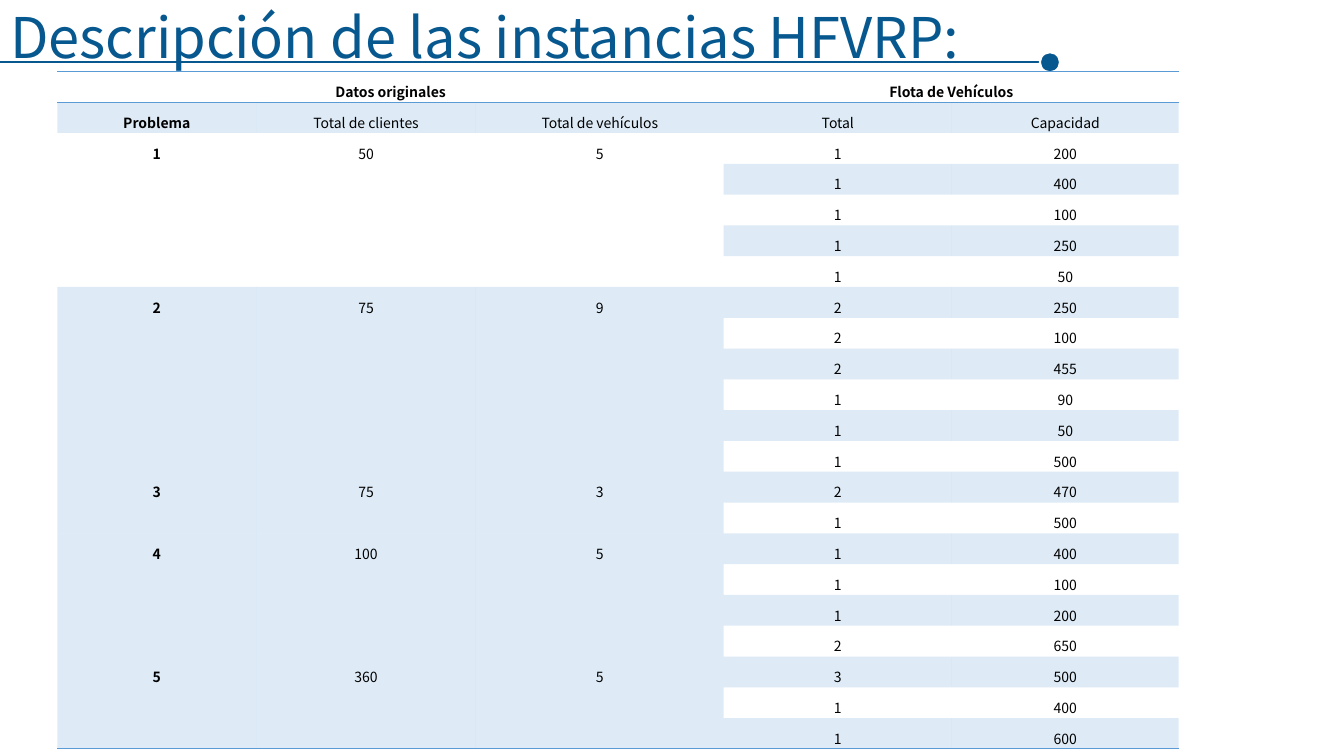
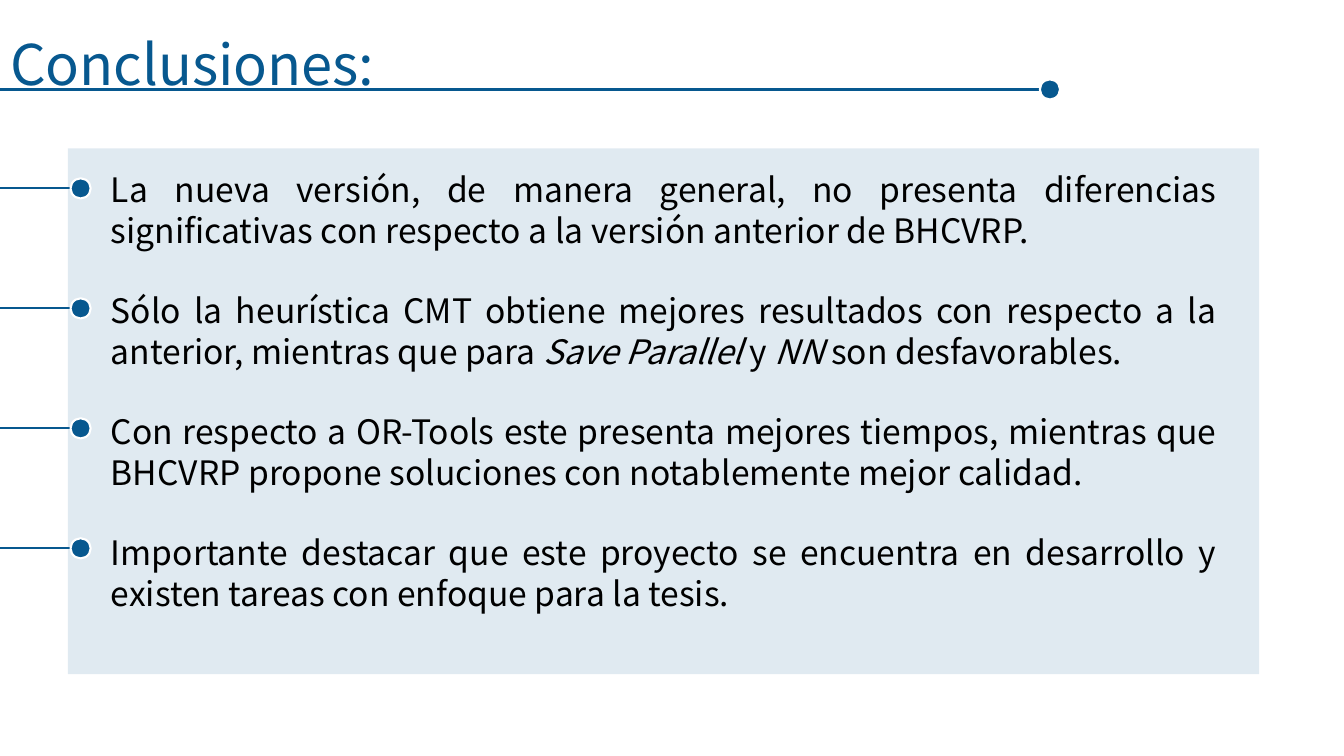
from dataclasses import dataclass

from lxml import etree
from pptx import Presentation
from pptx.dml.color import RGBColor
from pptx.enum.shapes import MSO_CONNECTOR, MSO_SHAPE
from pptx.enum.text import MSO_ANCHOR, MSO_AUTO_SIZE, PP_ALIGN
from pptx.oxml.ns import qn
from pptx.slide import Slide
from pptx.table import Table, _Cell
from pptx.text.text import TextFrame, _Paragraph
from pptx.util import Pt

STRAIGHT = MSO_CONNECTOR.STRAIGHT
ELLIPSE, RECTANGLE = MSO_SHAPE.OVAL, MSO_SHAPE.RECTANGLE
TOP = MSO_ANCHOR.TOP
NO_AUTOFIT = MSO_AUTO_SIZE.NONE
LEFT, CENTER, JUSTIFY = PP_ALIGN.LEFT, PP_ALIGN.CENTER, PP_ALIGN.JUSTIFY

NAVY = RGBColor(0x07, 0x58, 0x8F)
SKY = RGBColor(0x5B, 0x9B, 0xD5)
BLACK = RGBColor(0, 0, 0)
WHITE = RGBColor(0xFF, 0xFF, 0xFF)
FONT = "Noto Sans CJK JP"
NO_TABLE_STYLE = "{2D5ABB26-0587-4C30-8999-92F81FD0307C}"

TITLE_ONLY, TITLE_AND_BODY = 5, 1
DOT_SIZE = 14.4
RULE_DROP = 49.5
RULE_END = 750
BULLET_X = 57.6
FIRST_BULLET_Y = 134.6
BULLET_STEP = 85.7
BODY_LINE = 28.8
COLUMN_WIDTHS = (142, 157, 177, 163, 162)
ROW_HEIGHT = 22


@dataclass(frozen=True)
class Problem:
    number: str
    clients: str
    vehicles: str
    fleet: tuple[tuple[str, str], ...]


@dataclass(frozen=True)
class Phrase:
    text: str
    italic: bool = False


HEADERS = ("Problema", "Total de clientes", "Total de vehículos", "Total", "Capacidad")
PROBLEMS = (
    Problem("1", "50", "5", (("1", "200"), ("1", "400"), ("1", "100"), ("1", "250"), ("1", "50"))),
    Problem("2", "75", "9", (("2", "250"), ("2", "100"), ("2", "455"), ("1", "90"), ("1", "50"),
                             ("1", "500"))),
    Problem("3", "75", "3", (("2", "470"), ("1", "500"))),
    Problem("4", "100", "5", (("1", "400"), ("1", "100"), ("1", "200"), ("2", "650"))),
    Problem("5", "360", "5", (("3", "500"), ("1", "400"), ("1", "600"))),
)
CONCLUSIONS = (
    (Phrase("La nueva versión, de manera general, no presenta diferencias significativas "
            "con respecto a la versión anterior de BHCVRP."),),
    (Phrase("Sólo la heurística CMT obtiene mejores resultados con respecto a la anterior, "
            "mientras que para "),
     Phrase("Save Parallel ", True), Phrase("y "), Phrase("NN", True),
     Phrase(" son desfavorables.")),
    (Phrase("Con respecto a OR-Tools este presenta mejores tiempos, mientras que BHCVRP "
            "propone soluciones con notablemente mejor calidad."),),
    (Phrase("Importante destacar que este proyecto se encuentra en desarrollo y existen "
            "tareas con enfoque para la tesis."),),
)


def format_runs(paragraph: _Paragraph, size: float, color: RGBColor, bold: bool = False) -> None:
    for run in paragraph.runs:
        run.font.name = FONT
        run.font.size = Pt(size)
        run.font.bold = bold
        run.font.color.rgb = color


def set_alpha(element: etree._Element, percent: int) -> None:
    color = element.find(".//" + qn("a:solidFill") + "/" + qn("a:srgbClr"))
    etree.SubElement(color, qn("a:alpha"), val=str(percent * 1000))


def prepare_frame(frame: TextFrame, margin_top: float) -> None:
    frame.word_wrap = True
    frame.auto_size = NO_AUTOFIT
    frame.vertical_anchor = TOP
    frame.margin_left = frame.margin_right = Pt(7.2)
    frame.margin_top = Pt(margin_top)
    frame.margin_bottom = Pt(3.6)


def draw_pin(slide: Slide, end_x: float, y: float) -> None:
    stem = slide.shapes.add_connector(STRAIGHT, Pt(0), Pt(y), Pt(end_x), Pt(y))
    stem.line.color.rgb = NAVY
    stem.line.width = Pt(1.5)
    etree.SubElement(stem.element.spPr, qn("a:effectLst"))
    dot = slide.shapes.add_shape(ELLIPSE, Pt(end_x - DOT_SIZE / 2), Pt(y - DOT_SIZE / 2),
                                 Pt(DOT_SIZE), Pt(DOT_SIZE))
    dot.shadow.inherit = False
    dot.fill.solid()
    dot.fill.fore_color.rgb = NAVY
    dot.line.color.rgb = WHITE
    dot.line.width = Pt(1.5)


def draw_heading(slide: Slide, text: str, top: float, width: float) -> None:
    title = slide.shapes.title
    title.left, title.top, title.width, title.height = Pt(0), Pt(top), Pt(width), Pt(55.4)
    prepare_frame(title.text_frame, 7)
    title.text_frame.text = text
    heading = title.text_frame.paragraphs[0]
    heading.alignment = LEFT
    heading.line_spacing = Pt(48)
    format_runs(heading, 40, NAVY)
    draw_pin(slide, RULE_END, top + RULE_DROP)


def write_cell(cell: _Cell, text: str, bold: bool = False) -> None:
    cell.text_frame.text = text
    paragraph = cell.text_frame.paragraphs[0]
    paragraph.alignment = CENTER
    paragraph.line_spacing = 1.5
    format_runs(paragraph, 10, BLACK, bold)


def add_border(cell: _Cell, side: str) -> None:
    properties = cell._tc.get_or_add_tcPr()
    border = etree.SubElement(properties, qn(f"a:{side}"), w=str(Pt(1)))
    fill = etree.SubElement(border, qn("a:solidFill"))
    etree.SubElement(fill, qn("a:srgbClr"), val=str(SKY))


def shade_cell(cell: _Cell, shaded: bool) -> None:
    if not shaded:
        cell.fill.background()
        return
    cell.fill.solid()
    cell.fill.fore_color.rgb = SKY
    tint = cell._tc.tcPr.find(qn("a:solidFill"))
    set_alpha_parent = tint.find(qn("a:srgbClr"))
    etree.SubElement(set_alpha_parent, qn("a:alpha"), val="20000")


def write_problem(table: Table, problem: Problem, first_row: int) -> int:
    last_row = first_row + len(problem.fleet) - 1
    for column, text in enumerate((problem.number, problem.clients, problem.vehicles)):
        write_cell(table.cell(first_row, column), text, bold=column == 0)
        table.cell(first_row, column).merge(table.cell(last_row, column))
    for row, vehicle in enumerate(problem.fleet, first_row):
        for column, text in enumerate(vehicle, 3):
            write_cell(table.cell(row, column), text)
    return last_row + 1


def draw_instances(slide: Slide) -> None:
    row_count = 2 + sum(len(problem.fleet) for problem in PROBLEMS)
    frame = slide.shapes.add_table(row_count, len(HEADERS), Pt(41), Pt(51),
                                   Pt(sum(COLUMN_WIDTHS)), Pt(ROW_HEIGHT * row_count))
    frame.element.find(".//" + qn("a:tableStyleId")).text = NO_TABLE_STYLE
    table = frame.table
    table.first_row = table.horz_banding = False
    for column, width in zip(table.columns, COLUMN_WIDTHS):
        column.width = Pt(width)
    for row in table.rows:
        row.height = Pt(ROW_HEIGHT)
    for first, last, text in ((0, 2, "Datos originales"), (3, 4, "Flota de Vehículos")):
        write_cell(table.cell(0, first), text, bold=True)
        table.cell(0, first).merge(table.cell(0, last))
    for column, text in enumerate(HEADERS):
        write_cell(table.cell(1, column), text, bold=column == 0)
    next_row = 2
    for problem in PROBLEMS:
        next_row = write_problem(table, problem, next_row)
    last_origin = row_count - len(PROBLEMS[-1].fleet)
    for row in range(row_count):
        for column in range(len(HEADERS)):
            cell = table.cell(row, column)
            cell.margin_left = cell.margin_right = Pt(3)
            cell.margin_top = cell.margin_bottom = Pt(0)
            cell.vertical_anchor = TOP
            if row == 0:
                add_border(cell, "lnT")
            if row in (0, row_count - 1) or (row == last_origin and column < 3):
                add_border(cell, "lnB")
            shade_cell(cell, row % 2 == 1)


def draw_conclusions(slide: Slide) -> None:
    panel = slide.shapes.add_shape(RECTANGLE, Pt(48.5), Pt(106), Pt(851), Pt(375.5))
    panel.shadow.inherit = False
    panel.fill.solid()
    panel.fill.fore_color.rgb = NAVY
    set_alpha(panel.element, 12)
    panel.line.fill.background()
    slide.shapes.title.element.addprevious(panel.element)

    body = slide.placeholders[1]
    body.left, body.top, body.width, body.height = Pt(72), Pt(116), Pt(804), Pt(327)
    prepare_frame(body.text_frame, 5)
    for index, phrases in enumerate(CONCLUSIONS):
        frame = body.text_frame
        paragraph = frame.add_paragraph() if index else frame.paragraphs[0]
        properties = paragraph._p.get_or_add_pPr()
        properties.set("marL", "0")
        properties.set("indent", "0")
        etree.SubElement(properties, qn("a:buNone"))
        paragraph.alignment = JUSTIFY
        paragraph.line_spacing = Pt(BODY_LINE)
        paragraph.space_before = Pt(BODY_LINE if index else 0)
        for phrase in phrases:
            run = paragraph.add_run()
            run.text = phrase.text
            run.font.italic = phrase.italic
        format_runs(paragraph, 24, BLACK)
        draw_pin(slide, BULLET_X, FIRST_BULLET_Y + index * BULLET_STEP)


def main() -> None:
    deck = Presentation()
    deck.slide_width, deck.slide_height = Pt(960), Pt(540)
    instances = deck.slides.add_slide(deck.slide_layouts[TITLE_ONLY])
    draw_heading(instances, "Descripción de las instancias HFVRP:", -5, 720)
    draw_instances(instances)
    conclusions = deck.slides.add_slide(deck.slide_layouts[TITLE_AND_BODY])
    draw_heading(conclusions, "Conclusiones:", 14.4, 300)
    draw_conclusions(conclusions)
    deck.save("out.pptx")


if __name__ == "__main__":
    main()
